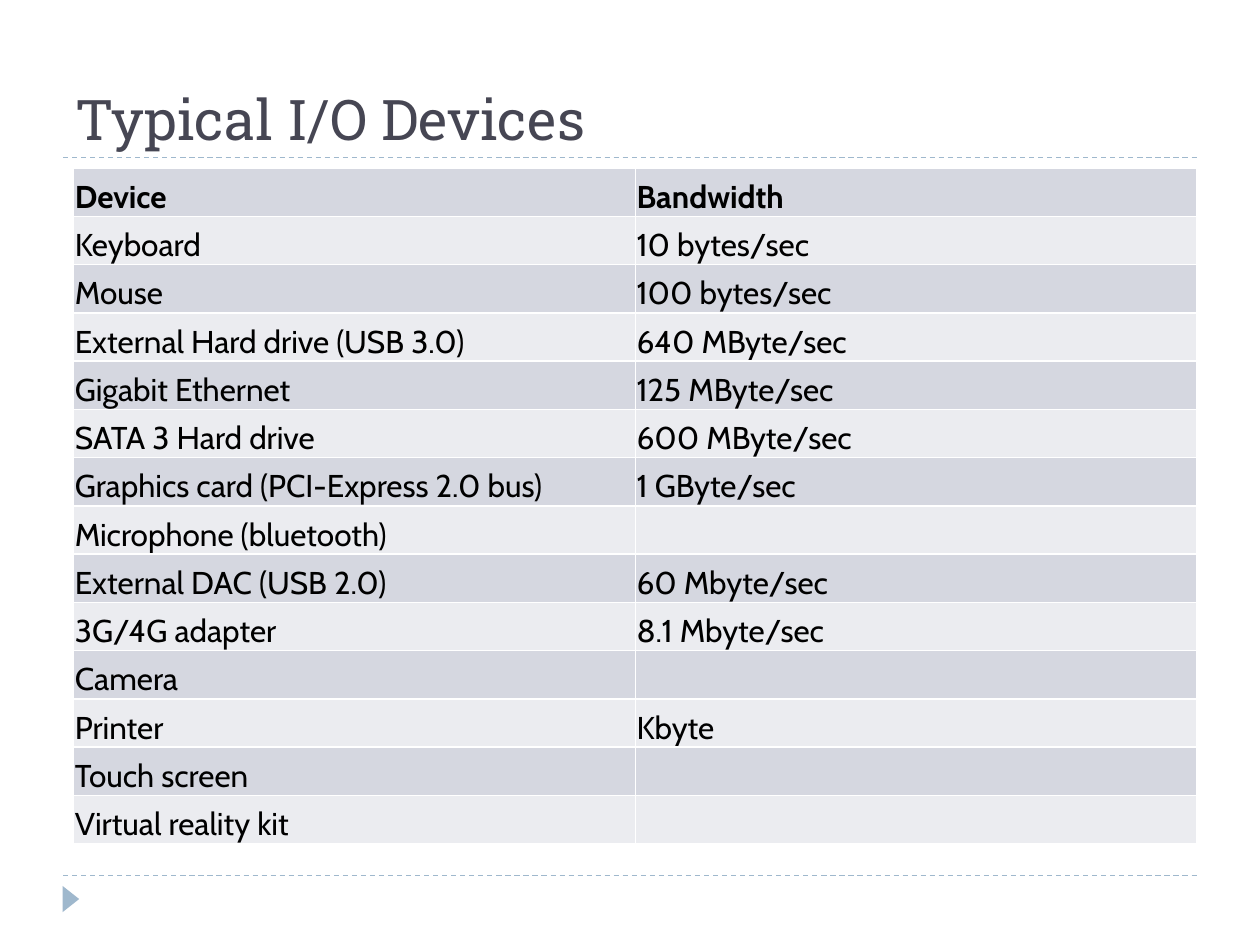
from lxml import etree
from pptx import Presentation
from pptx.dml.color import RGBColor
from pptx.enum import dml, shapes, text
from pptx.oxml import ns
from pptx.util import Pt

COLORS = {
    "title": "464653",
    "accent": "9FB8CD",
    "text": "000000",
    "dark_band": "D5D7E0",
    "light_band": "EBECF0",
    "border": "FFFFFF",
}
DEVICES = [
    ("Device", "Bandwidth"),
    ("Keyboard", "10 bytes/sec"),
    ("Mouse", "100 bytes/sec"),
    ("External Hard drive (USB 3.0)", "640 MByte/sec"),
    ("Gigabit Ethernet", "125 MByte/sec"),
    ("SATA 3 Hard drive", "600 MByte/sec"),
    ("Graphics card (PCI-Express 2.0 bus)", "1 GByte/sec"),
    ("Microphone (bluetooth)", ""),
    ("External DAC (USB 2.0)", "60 Mbyte/sec"),
    ("3G/4G adapter", "8.1 Mbyte/sec"),
    ("Camera", ""),
    ("Printer", "Kbyte"),
    ("Touch screen", ""),
    ("Virtual reality kit", ""),
]
LEFT, RIGHT = 36, 684
TABLE_LEFT, TABLE_TOP = 42, 96
COLUMN_WIDTH, ROW_HEIGHT = 321, 27.6


def color(name):
    return RGBColor.from_string(COLORS[name])


def add_run(paragraph, words, font, size, color_name, bold=False):
    run = paragraph.add_run()
    run.text = words
    run.font.name = font
    run.font.size = Pt(size)
    run.font.bold = bold
    run.font.color.rgb = color(color_name)


def add_rule(slide, y):
    """Draw a dashed line across the slide."""
    rule = slide.shapes.add_connector(
        shapes.MSO_CONNECTOR.STRAIGHT, Pt(LEFT), Pt(y), Pt(RIGHT), Pt(y))
    rule.line.color.rgb = color("accent")
    rule.line.width = Pt(0.75)
    rule.line.dash_style = dml.MSO_LINE.DASH
    etree.SubElement(rule._element.spPr, ns.qn("a:effectLst"))


def add_marker(slide):
    marker = slide.shapes.add_shape(
        shapes.MSO_SHAPE.ISOSCELES_TRIANGLE, Pt(33), Pt(509), Pt(15), Pt(9.5))
    marker.rotation = 90
    marker.shadow.inherit = False
    marker.fill.solid()
    marker.fill.fore_color.rgb = color("accent")
    marker.line.fill.background()


def add_title(slide, words):
    box = slide.shapes.add_textbox(Pt(LEFT), Pt(12), Pt(RIGHT - LEFT), Pt(78))
    frame = box.text_frame
    frame.word_wrap = True
    frame.vertical_anchor = text.MSO_ANCHOR.BOTTOM
    add_run(frame.paragraphs[0], words, "Roboto Slab", 32, "title")


def add_borders(cell):
    properties = cell._tc.get_or_add_tcPr()
    for index, side in enumerate(("lnL", "lnR", "lnT", "lnB")):
        border = etree.Element(ns.qn(f"a:{side}"), w=str(Pt(1)))
        fill = etree.SubElement(border, ns.qn("a:solidFill"))
        etree.SubElement(fill, ns.qn("a:srgbClr"), val=COLORS["border"])
        properties.insert(index, border)


def fill_cell(cell, words, band, bold):
    cell.margin_left = cell.margin_right = cell.margin_top = Pt(0.75)
    cell.margin_bottom = Pt(0)
    cell.vertical_anchor = text.MSO_ANCHOR.BOTTOM
    cell.fill.solid()
    cell.fill.fore_color.rgb = color(band)
    add_borders(cell)
    if words:
        add_run(cell.text_frame.paragraphs[0], words, "Cabin", 18, "text", bold)


def add_device_table(slide, rows):
    columns = len(rows[0])
    table = slide.shapes.add_table(
        len(rows), columns, Pt(TABLE_LEFT), Pt(TABLE_TOP),
        Pt(COLUMN_WIDTH * columns), Pt(ROW_HEIGHT * len(rows))).table
    for column in table.columns:
        column.width = Pt(COLUMN_WIDTH)
    for row_index, row in enumerate(rows):
        table.rows[row_index].height = Pt(ROW_HEIGHT)
        band = "light_band" if row_index % 2 else "dark_band"
        for column_index, words in enumerate(row):
            cell = table.cell(row_index, column_index)
            fill_cell(cell, words, band, bold=row_index == 0)


def main():
    presentation = Presentation()
    presentation.slide_width, presentation.slide_height = Pt(720), Pt(540)
    slide = presentation.slides.add_slide(presentation.slide_layouts[6])
    for y in (500.4, 90):
        add_rule(slide, y)
    add_marker(slide)
    add_title(slide, "Typical I/O Devices")
    add_device_table(slide, DEVICES)
    presentation.save("out.pptx")


if __name__ == "__main__":
    main()
